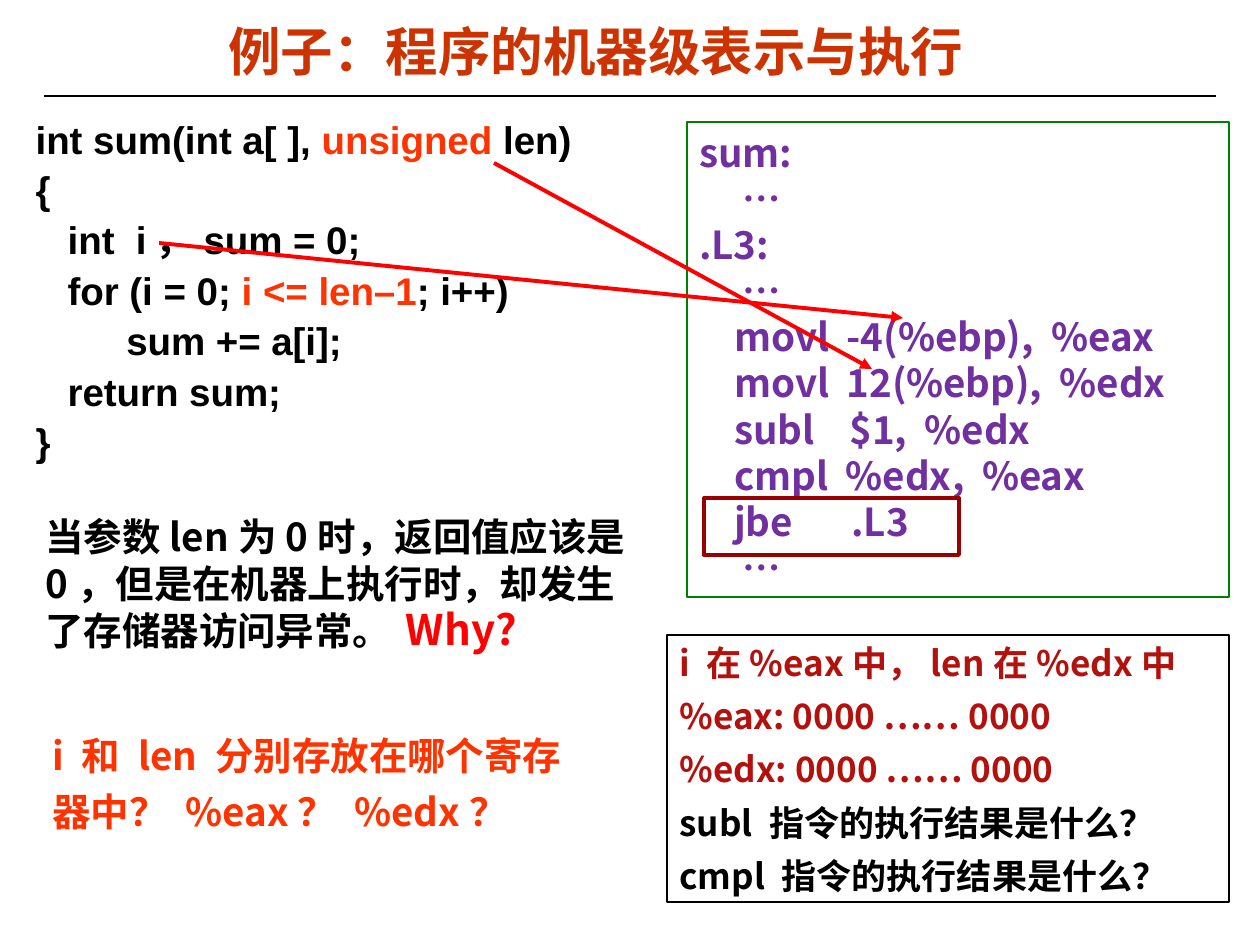
"""Build a slide on the machine-level form of a summing function."""
import lxml.etree
import pptx
import pptx.dml.color
import pptx.enum.shapes
import pptx.enum.text
import pptx.oxml.ns
import pptx.util

PX = 914400 / 126
LATIN, CJK = "Arial", "Noto Sans CJK SC"
BLACK, RED, ORANGE, PURPLE = "000000", "FF0000", "FF3300", "7030A0"
DARK_RED = "B3110D"
MIDDLE = pptx.enum.text.MSO_ANCHOR.MIDDLE
TOP = pptx.enum.text.MSO_ANCHOR.TOP


def px(value):
    return pptx.util.Emu(round(value * PX))


def color(value):
    return pptx.dml.color.RGBColor.from_string(value)


def add_element(parent, tag, **attributes):
    name = pptx.oxml.ns.qn(tag)
    return lxml.etree.SubElement(parent, name, attributes)


def add_text(paragraph, text, size=22, font=CJK, fill=BLACK, bold=True):
    run = paragraph.add_run()
    run.text = text
    run.font.size = pptx.util.Pt(size)
    run.font.name = font
    run.font.bold = bold
    run.font.color.rgb = color(fill)
    add_element(run.font._element, "a:ea", typeface=CJK)


class SlideBuilder:
    def __init__(self, presentation):
        self.slide = presentation.slides.add_slide(presentation.slide_layouts[1])

    def place(self, shape, box):
        shape.left, shape.top, shape.width, shape.height = map(px, box)

    def fill_text(self, shape, paragraphs, anchor=TOP, spacing=None, before=0, **style):
        """Fill a shape with paragraphs, each a list of (text, format) runs."""
        frame = shape.text_frame
        frame.word_wrap = True
        frame.auto_size = pptx.enum.text.MSO_AUTO_SIZE.NONE
        frame.vertical_anchor = anchor
        for index, runs in enumerate(paragraphs):
            paragraph = frame.add_paragraph() if index else frame.paragraphs[0]
            paragraph.alignment = pptx.enum.text.PP_ALIGN.LEFT
            paragraph.space_before = pptx.util.Pt(before if index else 0)
            if spacing:
                paragraph.line_spacing = spacing
            for text, changes in runs:
                add_text(paragraph, text, **{**style, **changes})
        return frame

    def title(self, text, box):
        shape = self.slide.shapes.title
        self.place(shape, box)
        frame = self.fill_text(shape, [[(text, {})]], anchor=MIDDLE,
                               size=30, font=LATIN, fill="CC3300")
        frame.paragraphs[0].alignment = pptx.enum.text.PP_ALIGN.CENTER

    def body(self, paragraphs, box):
        shape = self.slide.placeholders[1]
        self.place(shape, box)
        frame = self.fill_text(shape, paragraphs, spacing=1.05, before=1.1, font=LATIN)
        for paragraph in frame.paragraphs:
            properties = paragraph._p.get_or_add_pPr()
            properties.set("marL", str(px(48)))
            properties.set("indent", str(-px(48)))
            add_element(properties, "a:buNone")

    def text_box(self, paragraphs, box, **style):
        shape = self.slide.shapes.add_textbox(*map(px, box))
        self.fill_text(shape, paragraphs, **style)

    def rectangle(self, box, line, width=0.75, fill=None):
        kind = pptx.enum.shapes.MSO_SHAPE.RECTANGLE
        shape = self.slide.shapes.add_shape(kind, *map(px, box))
        shape.shadow.inherit = False
        shape.line.color.rgb = color(line)
        shape.line.width = pptx.util.Pt(width)
        if fill:
            shape.fill.solid()
            shape.fill.fore_color.rgb = color(fill)
        else:
            shape.fill.background()
        return shape

    def line(self, ends, stroke=BLACK, width=0.75, arrow=False):
        kind = pptx.enum.shapes.MSO_CONNECTOR.STRAIGHT
        connector = self.slide.shapes.add_connector(kind, *map(px, ends))
        connector.line.color.rgb = color(stroke)
        connector.line.width = pptx.util.Pt(width)
        if arrow:
            add_element(connector.line._get_or_add_ln(), "a:tailEnd", type="triangle")
        add_element(connector._element.spPr, "a:effectLst")


def plain(*lines, **style):
    return [[(line, style)] for line in lines]


def main():
    presentation = pptx.Presentation()
    presentation.slide_width = pptx.util.Inches(10)
    presentation.slide_height = pptx.util.Inches(7.5)
    builder = SlideBuilder(presentation)
    orange = {"fill": ORANGE}

    builder.line((44, 96, 1216, 96))
    builder.title("例子：程序的机器级表示与执行", (29, 14, 1134, 73))
    builder.body([
        [("int sum(int a[ ], ", {}), ("unsigned", orange), (" len)", {})],
        *plain("{", "   int  i，sum = 0;"),
        [("   for (i = 0; ", {}), ("i <= len–1", orange), ("; i++)", {})],
        *plain("\t    sum += a[i];", "   return sum;", "}"),
    ], (23, 107, 625, 377))

    builder.text_box([[
        ("当参数len为0时，返回值应该是0，但是在机器上执行时，却发生了存储器访问异常。", {}),
        (" ", {"size": 18, "font": LATIN, "bold": False}),
        ("Why?", {"size": 24, "fill": RED}),
    ]], (33, 505, 616, 156), anchor=MIDDLE, spacing=pptx.util.Pt(27))

    assembly = builder.rectangle((687, 122, 542, 475), "008000")
    builder.fill_text(assembly, plain(
        "sum:", "     …", ".L3:", "     …",
        "    movl  -4(%ebp),  %eax",
        "    movl  12(%ebp),  %edx",
        "    subl    $1,  %edx",
        "    cmpl  %edx,  %eax",
        "    jbe\t   .L3", "     …",
    ), anchor=MIDDLE, spacing=pptx.util.Pt(26.4), fill=PURPLE)

    registers = builder.rectangle((667, 635, 562, 267), BLACK, fill="FFFFFF")
    builder.fill_text(registers, [
        *plain("i 在%eax中，len在%edx中", "%eax: 0000 …… 0000",
               "%edx: 0000 …… 0000", fill=DARK_RED),
        *plain("subl 指令的执行结果是什么？", "cmpl 指令的执行结果是什么？"),
    ], spacing=pptx.util.Pt(24.2), before=6.2, size=20)

    builder.text_box(plain("i 和 len 分别存放在哪个寄存器中？ %eax？ %edx？"),
                     (40, 717, 556, 123), anchor=MIDDLE,
                     spacing=pptx.util.Pt(31.7), fill=ORANGE)

    builder.rectangle((704, 498, 255, 57), "990000", width=2.25)
    for ends in ((494, 163, 872, 369), (159, 243, 903, 318)):
        builder.line(ends, stroke=RED, width=2.25, arrow=True)
    presentation.save("out.pptx")


if __name__ == "__main__":
    main()
